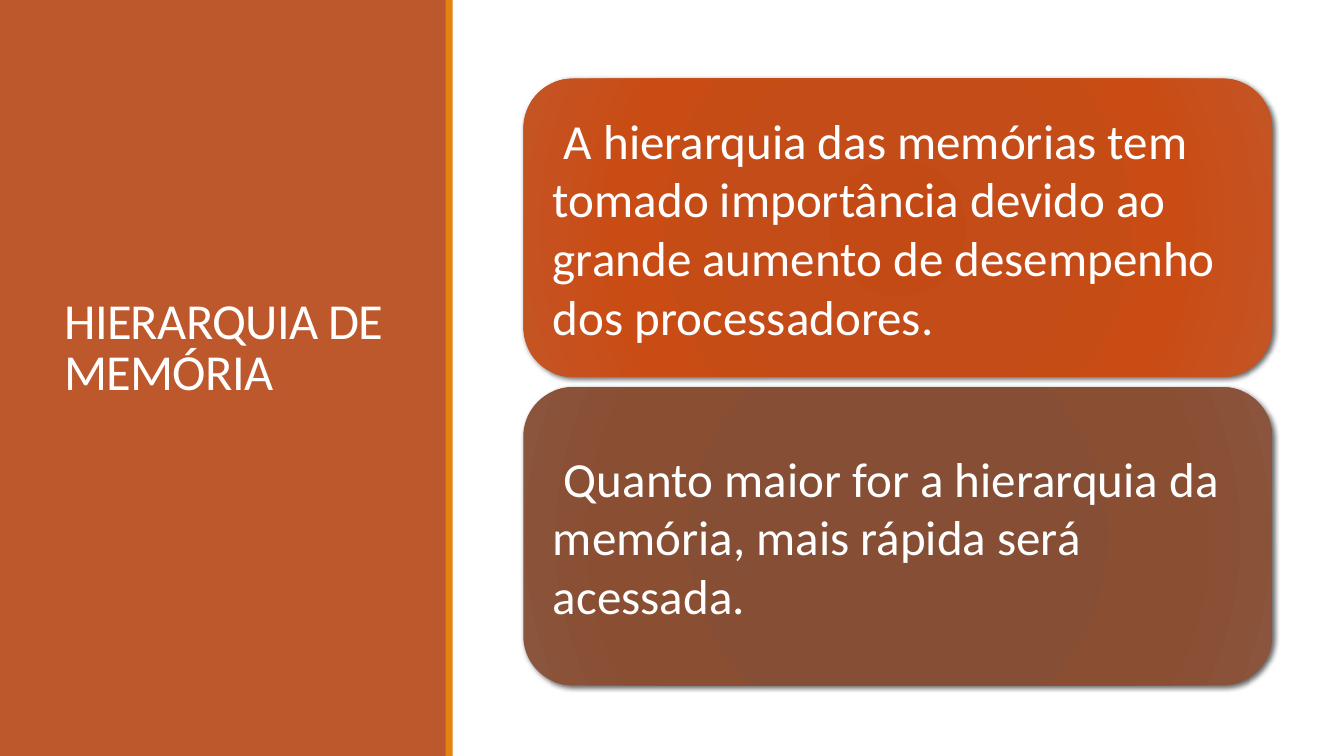
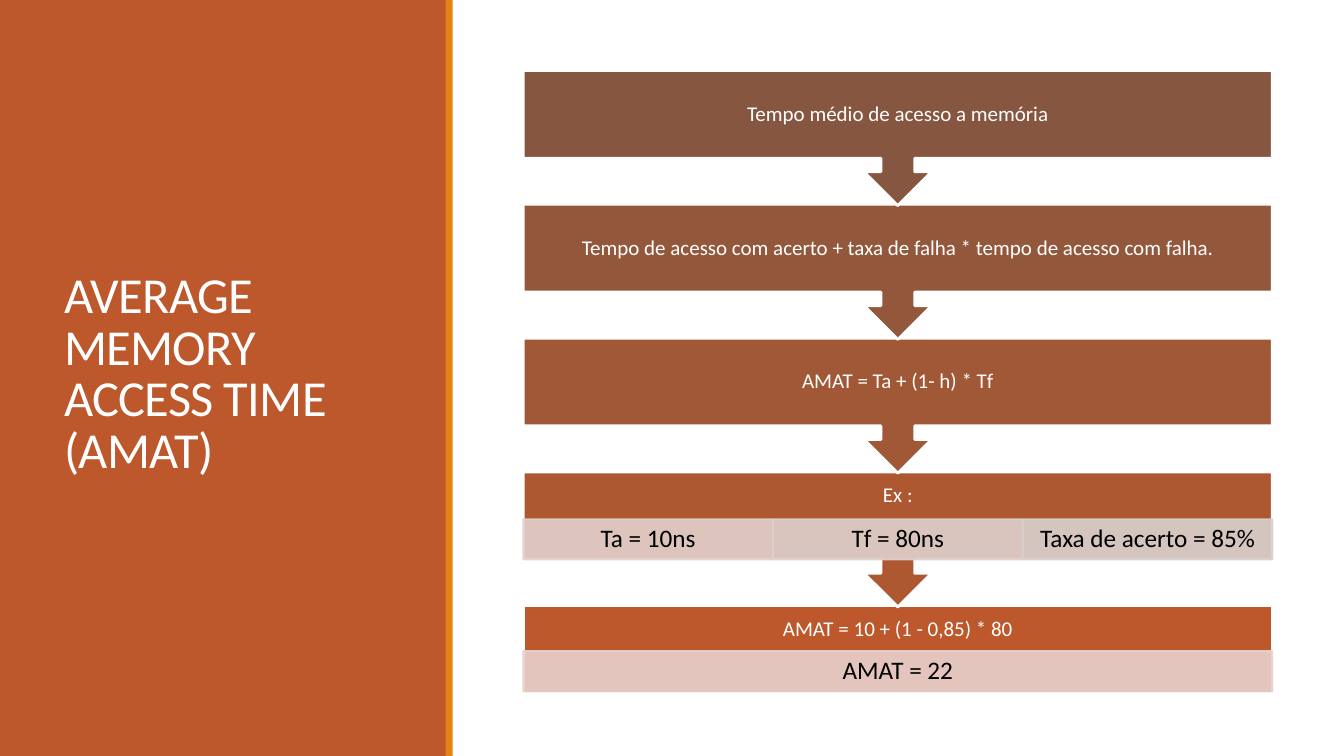
from pptx import Presentation
from pptx.dml.color import RGBColor
from pptx.enum.shapes import MSO_SHAPE
from pptx.enum.text import MSO_ANCHOR, PP_ALIGN
from pptx.oxml import parse_xml
from pptx.oxml.ns import nsdecls
from pptx.util import Inches, Pt

RECT = MSO_SHAPE.RECTANGLE
ROUNDED = MSO_SHAPE.ROUNDED_RECTANGLE
CALLOUT = MSO_SHAPE.DOWN_ARROW_CALLOUT
MIDDLE = MSO_ANCHOR.MIDDLE
LEFT, CENTER = PP_ALIGN.LEFT, PP_ALIGN.CENTER

FONT = "Calibri"
COLORS = {"panel": "BD582C", "stripe": "E48312", "white": "FFFFFF", "black": "000000"}

HIERARCHY_TITLE = "HIERARQUIA DE MEMÓRIA"
AMAT_TITLE = "AVERAGE MEMORY ACCESS TIME (AMAT)"

STATEMENTS = [
    (" A hierarquia das memórias tem tomado importância devido ao grande aumento "
     "de desempenho dos processadores.",
     [(0, "C44A15"), (34, "C34C18"), (70, "C94C15"), (100, "C45525")]),
    (" Quanto maior for a hierarquia da memória, mais rápida será acessada.",
     [(0, "874C32"), (34, "864E34"), (70, "8A4E33"), (100, "8A553C")]),
]

STEPS = [
    ("Tempo médio de acesso a memória", "865640", 0, []),
    ("Tempo de acesso com acerto + taxa de falha * tempo de acesso com falha.",
     "93573C", 0, []),
    ("AMAT = Ta + (1- h) * Tf", "A05837", 0, []),
    ("Ex :", "AE5832", 0.47,
     [("Ta = 10ns", "E3D1CD"), ("Tf = 80ns", "DED1CE"),
      ("Taxa de acerto = 85%", "D9D1CF")]),
    ("AMAT = 10 + (1 - 0,85) * 80", "BD582C", 0.45, [("AMAT = 22", "E8D1CD")]),
]

CONTENT_LEFT, CONTENT_WIDTH = 5.19, 7.43
CARD_TOP, CARD_HEIGHT, CARD_GAP = 0.78, 2.96, 0.1
FIRST_STEP, LAST_STEP = 0.7, 6.01
STEP_HEIGHT, CALLOUT_HEIGHT = 0.87, 1.34
HEADING_HEIGHT, DETAIL_HEIGHT = 0.47, 0.4


def add_box(slide, kind, box, fill=None, line=None, weight=1):
    shape = slide.shapes.add_shape(kind, *map(Inches, box))
    shape.shadow.inherit = False
    if fill:
        shape.fill.solid()
        shape.fill.fore_color.rgb = RGBColor.from_string(fill)
    if line:
        shape.line.color.rgb = RGBColor.from_string(line)
        shape.line.width = Pt(weight)
    else:
        shape.line.fill.background()
    return shape


def write(shape, text, size, color, insets, align=LEFT, spacing=1.0):
    frame = shape.text_frame
    frame.word_wrap = True
    frame.vertical_anchor = MIDDLE
    for side, inset in zip(("left", "top", "right", "bottom"), insets):
        setattr(frame, f"margin_{side}", Inches(inset))
    paragraph = frame.paragraphs[0]
    paragraph.alignment = align
    paragraph.line_spacing = spacing
    run = paragraph.add_run()
    run.text = text
    for name, value in {"name": FONT, "size": Pt(size)}.items():
        setattr(run.font, name, value)
    run.font.color.rgb = RGBColor.from_string(color)
    return run


def set_translucent(shape, percent):
    for color in shape._element.spPr.xpath(".//a:srgbClr"):
        color.append(parse_xml(f'<a:alpha {nsdecls("a")} val="{percent * 1000}"/>'))


def set_radial_fill(shape, stops):
    stop_xml = "".join(
        f'<a:gs pos="{position * 1000}"><a:srgbClr val="{color}"/></a:gs>'
        for position, color in stops)
    gradient = parse_xml(
        f'<a:gradFill {nsdecls("a")} rotWithShape="1"><a:gsLst>{stop_xml}</a:gsLst>'
        '<a:path path="circle"><a:fillToRect l="100000" t="100000" r="100000" '
        'b="100000"/></a:path></a:gradFill>')
    shape._element.spPr.xpath("./a:prstGeom")[0].addnext(gradient)


def add_drop_shadow(shape):
    effects = shape._element.spPr.xpath("./a:effectLst")[0]
    effects.append(parse_xml(
        f'<a:outerShdw {nsdecls("a")} blurRad="{Pt(3.5)}" dist="{Pt(2)}" '
        f'dir="{45 * 60000}" rotWithShape="0"><a:srgbClr val="{COLORS["black"]}">'
        '<a:alpha val="60000"/></a:srgbClr></a:outerShdw>'))


def add_titled_slide(deck, title, bottom_inset=0.05):
    slide = deck.slides.add_slide(deck.slide_layouts[6])
    add_box(slide, RECT, (0, 0, 4.43, 7.5), COLORS["panel"])
    heading = slide.shapes.add_textbox(*map(Inches, (0.54, 0.57, 3.37, 6.31)))
    run = write(heading, title, 36, COLORS["white"],
                (0.1, 0.05, 0.1, bottom_inset), spacing=0.85)
    run.font._element.set("spc", "-50")
    add_box(slide, RECT, (4.42, 0, 0.07, 7.5), COLORS["stripe"])
    return slide


def build_hierarchy(deck):
    slide = add_titled_slide(deck, HIERARCHY_TITLE, bottom_inset=0.56)
    for index, (text, stops) in enumerate(STATEMENTS):
        top = CARD_TOP + index * (CARD_HEIGHT + CARD_GAP)
        card = add_box(slide, ROUNDED, (CONTENT_LEFT, top, CONTENT_WIDTH, CARD_HEIGHT))
        set_radial_fill(card, stops)
        add_drop_shadow(card)
        write(card, text, 35, COLORS["white"], (0.15,) * 4)


def build_amat(deck):
    slide = add_titled_slide(deck, AMAT_TITLE)
    last = len(STEPS) - 1
    pitch = (LAST_STEP - FIRST_STEP) / last
    for index, (text, fill, detail_offset, details) in reversed(list(enumerate(STEPS))):
        top = FIRST_STEP + index * pitch
        kind, height = (RECT, STEP_HEIGHT) if index == last else (CALLOUT, CALLOUT_HEIGHT)
        step = add_box(slide, kind, (CONTENT_LEFT, top, CONTENT_WIDTH, height),
                       fill, COLORS["white"], 2)
        reserved = STEP_HEIGHT - HEADING_HEIGHT if details else 0
        write(step, text, 15, COLORS["white"], (0.12, 0.12, 0.12, 0.12 + reserved),
              CENTER, 0.9)
        for column, (label, tint) in enumerate(details):
            width = CONTENT_WIDTH / len(details)
            detail = add_box(
                slide, RECT,
                (CONTENT_LEFT + column * width, top + detail_offset, width, DETAIL_HEIGHT),
                tint, tint, 1.25)
            set_translucent(detail, 90)
            write(detail, label, 18, COLORS["black"], (0.14, 0.03, 0.14, 0.03),
                  CENTER, 0.9)


def main():
    deck = Presentation()
    deck.slide_width, deck.slide_height = Inches(13.33), Inches(7.5)
    build_hierarchy(deck)
    build_amat(deck)
    deck.save("out.pptx")


if __name__ == "__main__":
    main()
